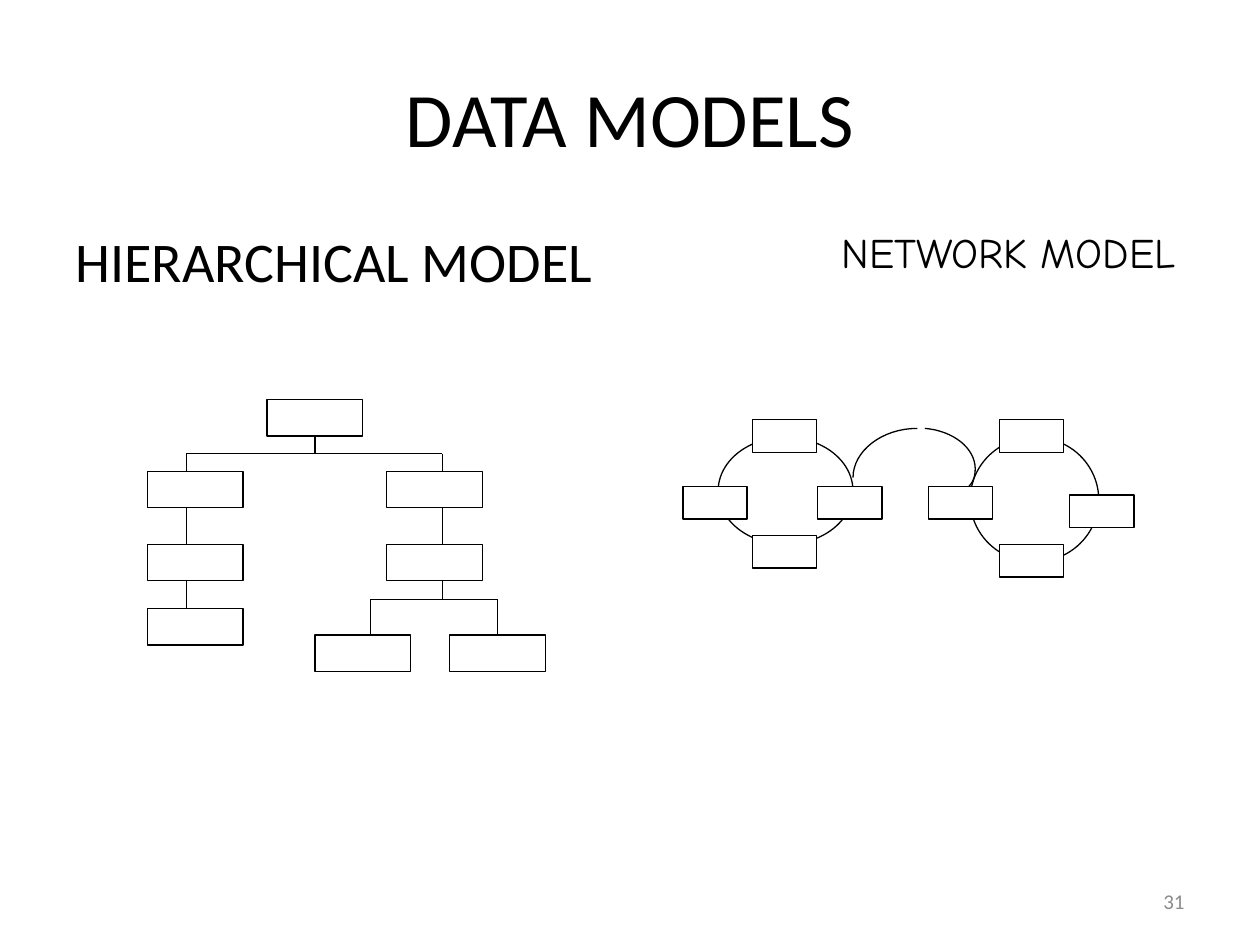
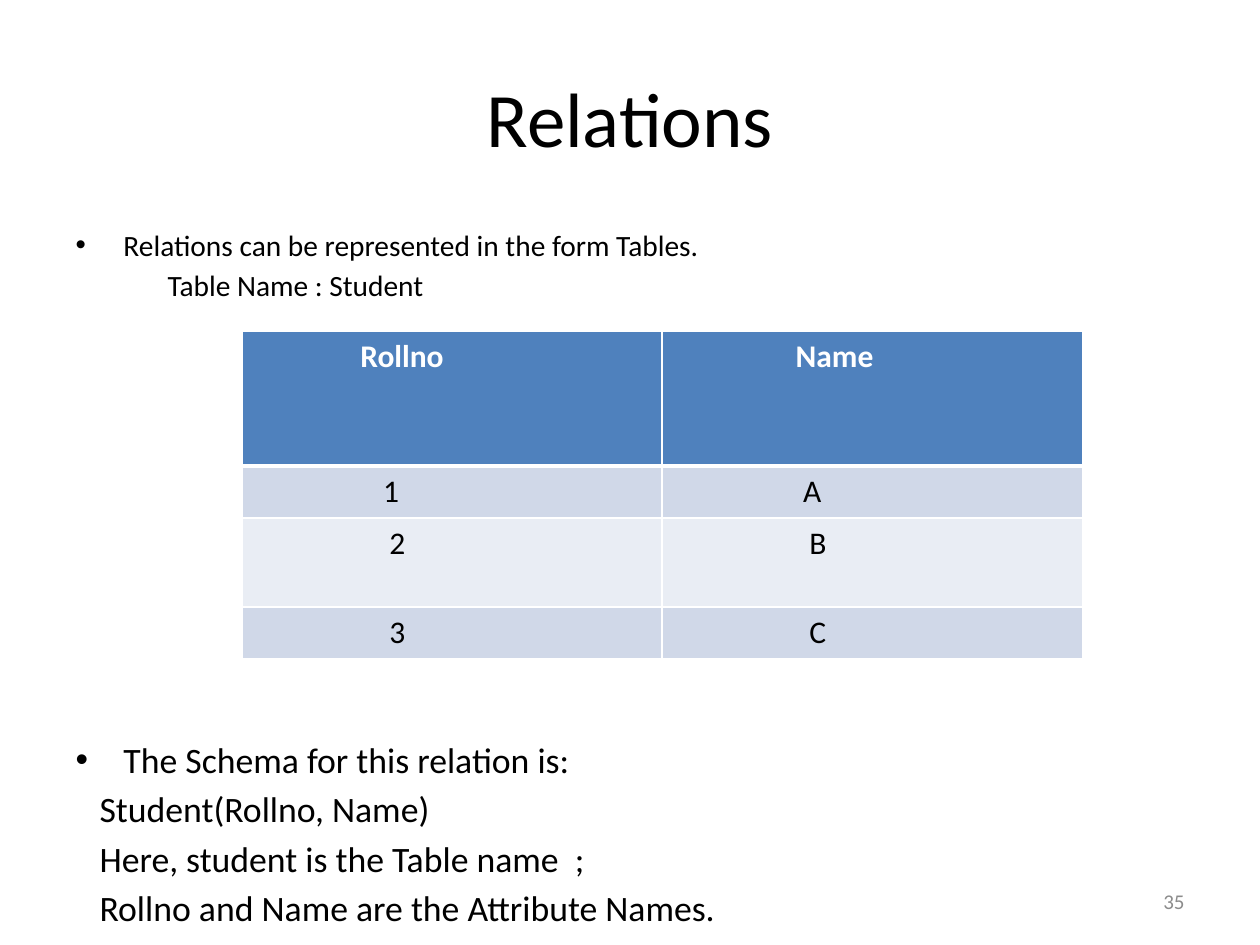
from lxml import etree
from pptx import Presentation
from pptx.dml.color import RGBColor
from pptx.enum.shapes import MSO_CONNECTOR, MSO_SHAPE
from pptx.enum.text import MSO_ANCHOR, MSO_AUTO_SIZE, PP_ALIGN
from pptx.oxml.ns import qn
from pptx.util import Inches, Pt

RECT, OVAL = MSO_SHAPE.RECTANGLE, MSO_SHAPE.OVAL
STRAIGHT = MSO_CONNECTOR.STRAIGHT
MIDDLE, NO_FIT = MSO_ANCHOR.MIDDLE, MSO_AUTO_SIZE.NONE
LEFT, CENTER, RIGHT = PP_ALIGN.LEFT, PP_ALIGN.CENTER, PP_ALIGN.RIGHT

# Shared look
FONT, HAND = "Calibri", "Comic Neue"
BLACK, WHITE, GREY = "000000", "FFFFFF", "8C8C8C"
HEAD, BANDS = "4F81BD", ("D0D8E8", "E9EDF4")
TITLE_AT = (0.5, 0.3, 9, 1.25)
BODY_AT = (0.5, 1.75, 9, 4.95)
PAGE_AT = (7.17, 6.95, 2.33, 0.4)

# Body text: words, size, left margin, first-line indent, bullet, space before
MODEL = [("HIERARCHICAL MODEL", 32, 0.38, -0.38, False, 0)]
NOTES = [
    ("Relations can be represented in the form Tables.", 16.8, 0.38, -0.38, True, 0),
    ("Table Name : Student", 16.8, 0.73, 0, False, 3),
    ("The Schema for this relation is:", 20.4, 0.38, -0.38, True, 248.5),
    ("Student(Rollno, Name)", 20.4, 0.19, 0, False, 3.7),
    ("Here, student is the Table name  ;", 20.4, 0.19, 0, False, 3.7),
    ("Rollno and Name are the Attribute Names.", 20.4, 0.19, 0, False, 3.7),
]

# Tree: box corners, forks (stem x, top, bar y, drop xs, bottom), stems (x, top, bottom)
NODE = (0.76, 0.29)
NODES = [(2.12, 3.17), (1.17, 3.74), (3.07, 3.74), (1.17, 4.32),
         (3.07, 4.32), (1.17, 4.83), (2.5, 5.04), (3.57, 5.04)]
FORKS = [(2.5, 3.46, 3.6, (1.48, 3.51), 3.74),
         (3.51, 4.61, 4.76, (2.94, 3.95), 5.04)]
STEMS = [(1.48, 4.03, 4.32), (3.51, 4.03, 4.32), (1.48, 4.61, 4.83)]

# Network: rings, box corners, arcs as a start and Bezier pieces
RINGS = [(7.7, 3.47, 1.02, 0.99), (5.7, 3.47, 1.07, 0.85)]
CELL = (0.51, 0.26)
CELLS = [(5.97, 3.33), (5.42, 3.86), (6.49, 3.86), (5.97, 4.25),
         (7.93, 3.33), (7.37, 3.86), (8.49, 3.93), (7.93, 4.32)]
ARCS = [
    ((7.28, 3.4), [((7, 3.4), (6.77, 3.58), (6.77, 3.79))]),
    ((7.34, 3.4), [((7.57, 3.42), (7.74, 3.56), (7.74, 3.72)),
                   ((7.74, 3.77), (7.73, 3.82), (7.69, 3.86))]),
]
STEPS = 16

# Table: rows of (text, left margin) and row heights
TABLE_AT = (1.92, 2.63, 6.67)
ROWS = [
    (1.07, ("Rollno", 0.94), ("Name", 1.06)),
    (0.41, ("1", 1.12), ("A", 1.12)),
    (0.71, ("2", 1.17), ("B", 1.17)),
    (0.41, ("3", 1.17), ("C", 1.17)),
]


def color(text):
    return RGBColor.from_string(text)


def place(box):
    return [Inches(v) for v in box]


def write(para, text, size, tint=BLACK, face=FONT, align=LEFT, bold=False):
    para.alignment = align
    run = para.add_run()
    run.text = text
    font = run.font
    font.name, font.size, font.bold = face, Pt(size), bold
    font.color.rgb = color(tint)


def label(slide, box, text, size, tint, face, align=LEFT, anchor=None):
    frame = slide.shapes.add_textbox(*place(box)).text_frame
    frame.word_wrap = True
    frame.vertical_anchor = anchor
    write(frame.paragraphs[0], text, size, tint, face, align)


def fill_body(shape, items):
    frame = shape.text_frame
    frame.auto_size = NO_FIT
    for i, (text, size, left, indent, dot, gap) in enumerate(items):
        para = frame.add_paragraph() if i else frame.paragraphs[0]
        para.space_before = Pt(gap)
        props = para._p.get_or_add_pPr()
        props.set("marL", str(Inches(left)))
        props.set("indent", str(Inches(indent)))
        if dot:
            etree.SubElement(props, qn("a:buFont")).set("typeface", "Arial")
            etree.SubElement(props, qn("a:buChar")).set("char", "•")
        else:
            etree.SubElement(props, qn("a:buNone"))
        write(para, text, size)


def new_slide(deck, title, items, page):
    slide = deck.slides.add_slide(deck.slide_layouts[1])
    head, body = slide.placeholders
    for shape, box in ((head, TITLE_AT), (body, BODY_AT)):
        shape.left, shape.top, shape.width, shape.height = place(box)
    head.text_frame.vertical_anchor = MIDDLE
    head.text_frame.auto_size = NO_FIT
    write(head.text_frame.paragraphs[0], title, 44, align=CENTER)
    fill_body(body, items)
    label(slide, PAGE_AT, page, 12, GREY, FONT, RIGHT, MIDDLE)
    return slide


def ink(shape, fill=None):
    shape.shadow.inherit = False
    if fill:
        shape.fill.solid()
        shape.fill.fore_color.rgb = color(fill)
    else:
        shape.fill.background()
    shape.line.color.rgb = color(BLACK)
    shape.line.width = Pt(0.75)


def draw(slide, kind, box, fill=None):
    ink(slide.shapes.add_shape(kind, *place(box)), fill)


def rule(slide, x1, y1, x2, y2):
    line = slide.shapes.add_connector(STRAIGHT, *place((x1, y1, x2, y2)))
    line.line.color.rgb = color(BLACK)
    line.line.width = Pt(0.75)
    etree.SubElement(line._element.spPr, qn("a:effectLst"))


def curve(slide, start, pieces):
    points, a = [], start
    for b, c, d in pieces:
        for n in range(1, STEPS + 1):
            t = n / STEPS
            u = 1 - t
            mix = (u ** 3, 3 * u * u * t, 3 * u * t * t, t ** 3)
            points.append([Inches(sum(m * p[k] for m, p in zip(mix, (a, b, c, d))))
                           for k in (0, 1)])
        a = d
    path = slide.shapes.build_freeform(*place(start))
    path.add_line_segments(points, close=False)
    ink(path.convert_to_shape())


def edge(cell, widths):
    props = cell._tc.get_or_add_tcPr()
    for i, (side, width) in enumerate(zip("LRTB", widths)):
        line = etree.Element(qn("a:ln" + side), w=str(Pt(width)))
        solid = etree.SubElement(line, qn("a:solidFill"))
        etree.SubElement(solid, qn("a:srgbClr")).set("val", WHITE)
        props.insert(i, line)


def draw_tree(slide):
    for spot in NODES:
        draw(slide, RECT, spot + NODE)
    for x, top, bar, drops, low in FORKS:
        rule(slide, x, top, x, bar)
        rule(slide, drops[0], bar, drops[1], bar)
        for drop in drops:
            rule(slide, drop, bar, drop, low)
    for x, top, low in STEMS:
        rule(slide, x, top, x, low)


def draw_net(slide):
    for box in RINGS:
        draw(slide, OVAL, box)
    for spot in CELLS:
        draw(slide, RECT, spot + CELL, WHITE)
    for start, pieces in ARCS:
        curve(slide, start, pieces)
    label(slide, (6.58, 1.75, 3.42, 0.5), "NETWORK MODEL", 24, BLACK, HAND)


def draw_table(slide):
    tall = sum(row[0] for row in ROWS)
    grid = slide.shapes.add_table(len(ROWS), 2, *place(TABLE_AT + (tall,))).table
    for r, (high, *cells) in enumerate(ROWS):
        grid.rows[r].height = Inches(high)
        for c, (text, left) in enumerate(cells):
            cell = grid.cell(r, c)
            cell.margin_left = Inches(left)
            cell.fill.solid()
            cell.fill.fore_color.rgb = color(BANDS[(r - 1) % 2] if r else HEAD)
            edge(cell, (1, 1, 3 if r == 1 else 1, 1 if r else 3))
            write(cell.text_frame.paragraphs[0], text, 18,
                  BLACK if r else WHITE, bold=r == 0)


def main():
    deck = Presentation()
    deck.slide_width, deck.slide_height = Inches(10), Inches(7.5)

    # Data models
    slide = new_slide(deck, "DATA MODELS", MODEL, "31")
    draw_tree(slide)
    draw_net(slide)

    # Relations
    slide = new_slide(deck, "Relations", NOTES, "35")
    draw_table(slide)

    deck.save("out.pptx")


if __name__ == "__main__":
    main()
